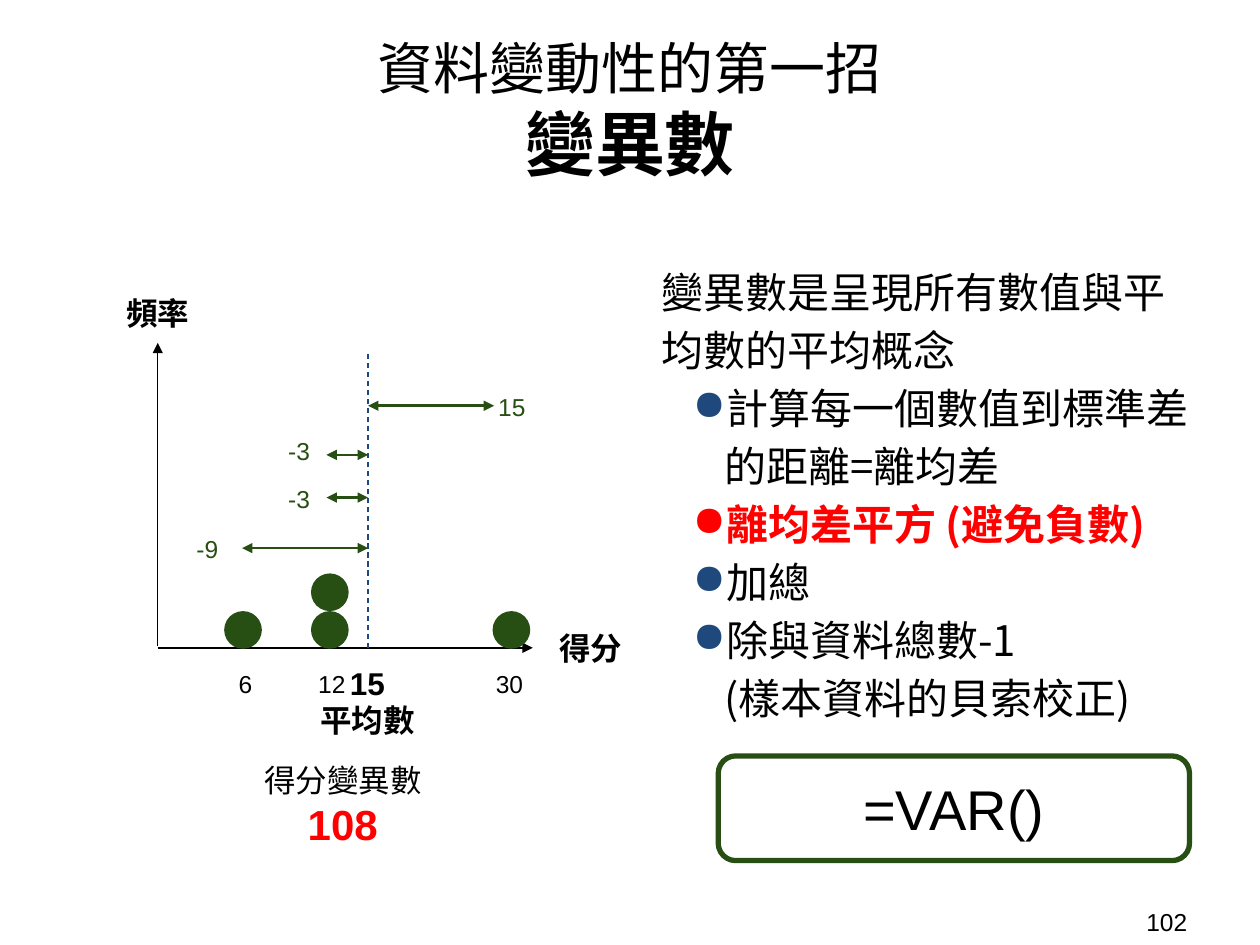
"""Build the slide that explains variance with a dot plot and a list of steps."""
from lxml import etree
from pptx import Presentation
from pptx import util as u
from pptx.dml.color import RGBColor
from pptx.enum import dml, shapes, text
from pptx.oxml.ns import qn

BLACK = RGBColor(0x00, 0x00, 0x00)
WHITE = RGBColor(0xFF, 0xFF, 0xFF)
RED = RGBColor(0xFF, 0x00, 0x00)
GREEN = RGBColor(0x27, 0x4E, 0x13)
BLUE = RGBColor(0x1F, 0x49, 0x7D)

LATIN, CHINESE = "Arial", "Noto Sans CJK TC"
CENTER, LEFT = text.PP_ALIGN.CENTER, text.PP_ALIGN.LEFT
MIDDLE, TOP = text.MSO_ANCHOR.MIDDLE, text.MSO_ANCHOR.TOP

AXIS_X, BASELINE, MEAN_X = 3.18, 13.06, 7.42
DOT_SIZE = 0.76
LABEL_HEIGHT = 1.0


class SlideBuilder:
    """Hold the text style and the current slide, and draw elements on it."""

    def __init__(self, slide, color=BLACK, font=LATIN, inset=0.25):
        self.slide = slide
        self.color = color
        self.font = font
        self.inset = inset

    def run(self, paragraph, content, size, color=None, bold=False, font=None):
        run = paragraph.add_run()
        run.text = content
        run.font.size = u.Pt(size)
        run.font.bold = bold
        run.font.color.rgb = color or self.color
        run.font.name = font or self.font
        east_asian = etree.SubElement(run.font._element, qn("a:ea"))
        east_asian.set("typeface", CHINESE)

    def prepare_frame(self, shape, anchor, inset):
        frame = shape.text_frame
        frame.word_wrap = True
        frame.vertical_anchor = anchor
        frame.margin_left = frame.margin_right = u.Cm(inset)
        frame.margin_top = frame.margin_bottom = u.Cm(inset)
        return frame

    def text_box(self, left, top, width, height, lines, align=CENTER,
                 anchor=MIDDLE, inset=None):
        box = self.slide.shapes.add_textbox(*map(u.Cm, (left, top, width, height)))
        frame = self.prepare_frame(box, anchor, self.inset if inset is None else inset)
        for index, line in enumerate(lines):
            paragraph = frame.add_paragraph() if index else frame.paragraphs[0]
            paragraph.alignment = align
            self.run(paragraph, **line)
        return frame

    def label(self, center_x, center_y, content, size=14, color=None, bold=False,
              width=2.34):
        self.text_box(center_x - width / 2, center_y - LABEL_HEIGHT / 2, width,
                      LABEL_HEIGHT, [dict(content=content, size=size, color=color,
                                          bold=bold)], inset=0)

    def bullet(self, frame, rows, size, color=None, bullet_color=BLUE, bold=False):
        paragraph = frame.add_paragraph()
        properties = paragraph._p.get_or_add_pPr()
        properties.set("marL", str(u.Cm(1.27)))
        properties.set("indent", str(u.Cm(-0.635)))
        bullet_fill = etree.SubElement(properties, qn("a:buClr"))
        etree.SubElement(bullet_fill, qn("a:srgbClr")).set("val", str(bullet_color))
        etree.SubElement(properties, qn("a:buChar")).set("char", "●")
        for index, row in enumerate(rows):
            if index:
                paragraph.add_line_break()
            self.run(paragraph, row, size, color, bold, CHINESE)

    def line(self, start, end, color, width=0.75, arrows=(), dashed=False):
        connector = self.slide.shapes.add_connector(
            shapes.MSO_CONNECTOR.STRAIGHT, *map(u.Cm, (*start, *end)))
        connector.line.color.rgb = color
        connector.line.width = u.Pt(width)
        if dashed:
            connector.line.dash_style = dml.MSO_LINE.DASH
        outline = connector.line._get_or_add_ln()
        for arrow in arrows:
            etree.SubElement(outline, qn(f"a:{arrow}")).set("type", "triangle")
        etree.SubElement(connector._element.spPr, qn("a:effectLst"))

    def dot(self, center_x, level):
        top = BASELINE + 0.02 - DOT_SIZE * (level + 1)
        shape = self.slide.shapes.add_shape(
            shapes.MSO_SHAPE.OVAL,
            *map(u.Cm, (center_x - DOT_SIZE / 2, top, DOT_SIZE, DOT_SIZE)))
        shape.shadow.inherit = False
        shape.fill.solid()
        shape.fill.fore_color.rgb = GREEN
        shape.line.fill.background()

    def formula(self, left, top, width, height, content):
        shape = self.slide.shapes.add_shape(
            shapes.MSO_SHAPE.ROUNDED_RECTANGLE,
            *map(u.Cm, (left, top, width, height)))
        shape.shadow.inherit = False
        shape.fill.solid()
        shape.fill.fore_color.rgb = WHITE
        shape.line.color.rgb = GREEN
        shape.line.width = u.Pt(3)
        frame = self.prepare_frame(shape, MIDDLE, self.inset)
        frame.paragraphs[0].alignment = CENTER
        self.run(frame.paragraphs[0], content, 32)


def add_explanation(builder):
    frame = builder.text_box(
        13.08, 4.98, 11.18, 13.08,
        [dict(content="變異數是呈現所有數值與平均數的平均概念", size=24, font=CHINESE)],
        align=LEFT, anchor=TOP)
    builder.bullet(frame, ["計算每一個數值到標準差的距離=離均差"], 24)
    builder.bullet(frame, ["離均差平方 (避免負數)"], 24, RED, RED, bold=True)
    builder.bullet(frame, ["加總"], 24)
    builder.bullet(frame, ["除與資料總數-1 ", "(樣本資料的貝索校正)"], 24)
    for paragraph in frame.paragraphs:
        paragraph.line_spacing = 1.15
    builder.formula(14.48, 15.24, 9.5, 2.11, "=VAR()")


def add_dot_plot(builder):
    builder.line((AXIS_X, 6.91), (AXIS_X, 13.03), BLACK, arrows=["headEnd"])
    builder.line((AXIS_X, BASELINE), (10.74, BASELINE), BLACK, arrows=["tailEnd"])
    builder.line((MEAN_X, BASELINE), (MEAN_X, 7.09), BLUE, dashed=True)
    builder.label(AXIS_X, 6.31, "頻率", 18, bold=True)
    builder.label(11.91, 13.07, "得分", 18, bold=True)
    builder.text_box(5.97, 13.64, 2.87, LABEL_HEIGHT,
                     [dict(content="15", size=18, bold=True),
                      dict(content="平均數", size=18, bold=True)])

    for score, dot_x, label_x, count in (("6", 4.9, 4.95, 1), ("12", 6.65, 6.69, 2),
                                         ("30", 10.31, 10.27, 1)):
        builder.label(label_x, 13.79, score, width=1)
        for level in range(count):
            builder.dot(dot_x, level)

    for deviation, end_x, y, label_x, label_y in (
            ("-9", 4.88, 11.05, 4.18, 11.06), ("-3", 6.58, 10.03, 6.03, 10.05),
            ("-3", 6.58, 9.17, 6.03, 9.08), ("15", 9.96, 8.18, 10.32, 8.19)):
        builder.line((MEAN_X, y), (end_x, y), GREEN, 1.5, ["headEnd", "tailEnd"])
        builder.label(label_x, label_y, deviation, color=GREEN, width=1)

    builder.text_box(2.92, 15.09, 7.98, 1.09,
                     [dict(content="得分變異數", size=18),
                      dict(content="108", size=24, color=RED, bold=True)], anchor=TOP)


def main():
    presentation = Presentation()
    presentation.slide_width, presentation.slide_height = u.Cm(25.4), u.Cm(19.05)
    builder = SlideBuilder(presentation.slides.add_slide(presentation.slide_layouts[6]))
    builder.text_box(1.32, 0.48, 22.76, 3.45,
                     [dict(content="資料變動性的第一招", size=32, font=CHINESE),
                      dict(content="變異數", size=40, bold=True, font=CHINESE)])
    add_explanation(builder)
    add_dot_plot(builder)
    builder.text_box(22.86, 18.21, 2.34, 0.74, [dict(content="102", size=14)],
                     align=LEFT, inset=0.25)
    presentation.save("out.pptx")


if __name__ == "__main__":
    main()
